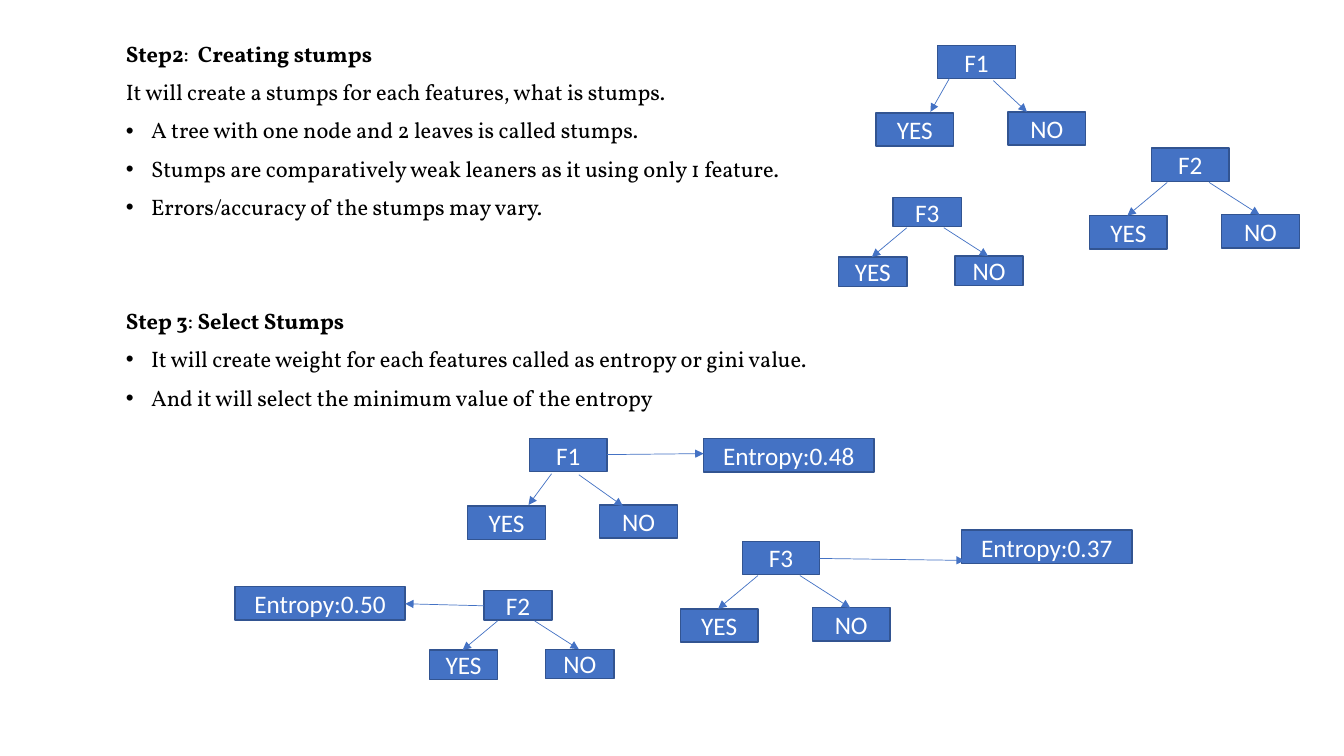
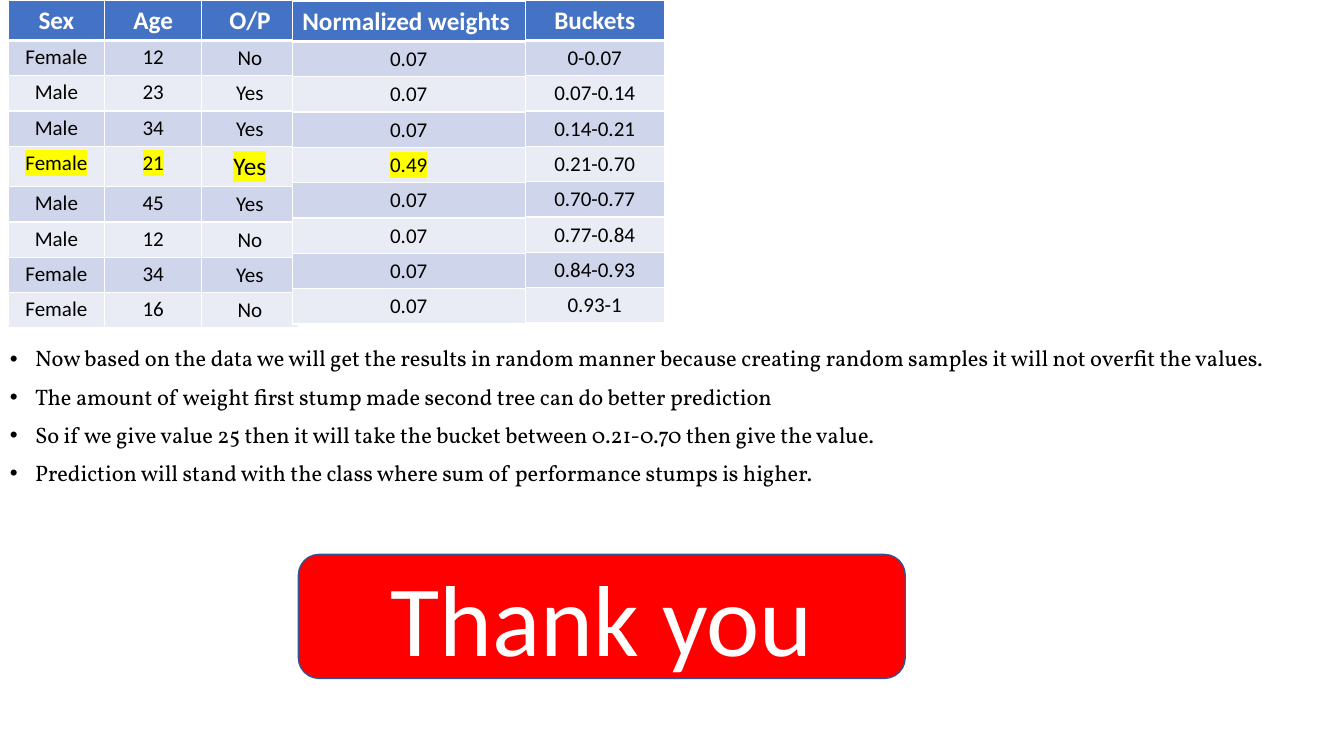
from dataclasses import dataclass

from pptx import Presentation
from pptx.dml.color import RGBColor
from pptx.enum.shapes import MSO_CONNECTOR, MSO_SHAPE
from pptx.enum.text import MSO_ANCHOR, PP_ALIGN
from pptx.oxml import parse_xml
from pptx.oxml.ns import nsdecls, qn
from pptx.util import Inches, Pt


@dataclass(frozen=True)
class Theme:
    accent: str = "4472C4"
    outline: str = "325491"
    odd_band: str = "CFD5EA"
    even_band: str = "E9EBF5"
    highlight: str = "FFFF00"
    closing: str = "FF0000"
    dark: str = "000000"
    light: str = "FFFFFF"
    body_font: str = "Vollkorn"
    label_font: str = "Calibri"
    body_size: int = 16
    label_size: int = 18
    cell_size: int = 15
    closing_size: int = 72


@dataclass(frozen=True)
class Box:
    left: float
    top: float
    width: float
    height: float

    def point(self, x, y):
        return self.left + x * self.width, self.top + y * self.height

    def inner(self, x, y, width, height):
        return Box(*self.point(x, y), width * self.width, height * self.height)

    def lengths(self):
        return [grid(value) for value in (self.left, self.top, self.width, self.height)]


THEME = Theme()
COLUMNS, ROWS = 40, 22.5
SLIDE_WIDTH = 13.33
INDENT = 0.25
HEADER_ROW, BODY_ROW = 1.2, 1.05
NODE_WIDTH, NODE_HEIGHT = 0.37, 0.33
LARGE, SMALL = (6.24, 3), (5.49, 2.64)
ENTROPY = (5.07, 1)
WIDE_BRANCHES = ((0.37, 0.34, 0.18, 0.67), (0.57, 0.34, 0.81, 0.66))
STEEP_BRANCHES = ((0.35, 0.33, 0.26, 0.66), (0.56, 0.35, 0.72, 0.66))
NARROW_BRANCHES = ((0.4, 0.35, 0.29, 0.66), (0.53, 0.36, 0.74, 0.67))


def grid(value):
    return Inches(value * SLIDE_WIDTH / COLUMNS)


def rgb(color):
    return RGBColor.from_string(color)


def write(paragraph, text, *, size, font, color, bold=False, highlight=None):
    run = paragraph.add_run()
    run.text = text
    run.font.size = Pt(size)
    run.font.name = font
    run.font.bold = bold
    run.font.color.rgb = rgb(color)
    if highlight:
        mark = parse_xml(f'<a:highlight {nsdecls("a")}><a:srgbClr val="{highlight}"/></a:highlight>')
        run.font._element.find(qn("a:solidFill")).addnext(mark)


def add_bullet(paragraph):
    properties = paragraph._p.get_or_add_pPr()
    properties.set("marL", str(Inches(INDENT)))
    properties.set("indent", str(-Inches(INDENT)))
    properties.append(parse_xml(f'<a:buFont {nsdecls("a")} typeface="Arial"/>'))
    properties.append(parse_xml(f'<a:buChar {nsdecls("a")} char="•"/>'))


def add_body(slide, box, bullets, heading=(), intro=None):
    frame = slide.shapes.add_textbox(*box.lengths()).text_frame
    frame.word_wrap = True
    lines = [(heading, False)] if heading else []
    lines += [([(intro, False)], False)] if intro else []
    lines += [([(bullet, False)], True) for bullet in bullets]
    for index, (runs, bulleted) in enumerate(lines):
        paragraph = frame.add_paragraph() if index else frame.paragraphs[0]
        paragraph.line_spacing = 0.9
        paragraph.space_before = Pt(10)
        for text, bold in runs:
            write(paragraph, text, size=THEME.body_size, font=THEME.body_font,
                  color=THEME.dark, bold=bold)
        if bulleted:
            add_bullet(paragraph)


def add_label(shapes, box, text, kind=MSO_SHAPE.RECTANGLE, fill=THEME.accent, size=THEME.label_size):
    shape = shapes.add_shape(kind, *box.lengths())
    shape.shadow.inherit = False
    shape.fill.solid()
    shape.fill.fore_color.rgb = rgb(fill)
    shape.line.color.rgb = rgb(THEME.outline)
    shape.line.width = Pt(1)
    shape.text_frame.word_wrap = True
    shape.text_frame.vertical_anchor = MSO_ANCHOR.MIDDLE
    paragraph = shape.text_frame.paragraphs[0]
    paragraph.alignment = PP_ALIGN.CENTER
    write(paragraph, text, size=size, font=THEME.label_font, color=THEME.light)


def add_arrow(shapes, start, end):
    ends = [grid(value) for value in (*start, *end)]
    arrow = shapes.add_connector(MSO_CONNECTOR.STRAIGHT, *ends)
    arrow.line.color.rgb = rgb(THEME.accent)
    arrow.line.width = Pt(0.5)
    arrow.line._get_or_add_ln().append(parse_xml(f'<a:tailEnd {nsdecls("a")} type="triangle"/>'))
    arrow._element.spPr.append(parse_xml(f'<a:effectLst {nsdecls("a")}/>'))


def add_stump(slide, box, feature, branches=WIDE_BRANCHES):
    shapes = slide.shapes.add_group_shape().shapes
    nodes = ((feature, 0.295, 0), ("YES", 0, 0.67), ("NO", 0.63, 0.66))
    for text, x, y in nodes:
        add_label(shapes, box.inner(x, y, NODE_WIDTH, NODE_HEIGHT), text)
    for start_x, start_y, end_x, end_y in branches:
        add_arrow(shapes, box.point(start_x, start_y), box.point(end_x, end_y))


def set_borders(cell, top, bottom):
    properties = cell._tc.get_or_add_tcPr()
    sides = (("lnL", 1), ("lnR", 1), ("lnT", top), ("lnB", bottom))
    for position, (side, width) in enumerate(sides):
        properties.insert(position, parse_xml(
            f'<a:{side} {nsdecls("a")} w="{Pt(width)}"><a:solidFill>'
            f'<a:srgbClr val="{THEME.light}"/></a:solidFill></a:{side}>'))


def fill_cell(cell, text, row, *, marked=False, enlarged=False, align=PP_ALIGN.CENTER, tight=False):
    header = row == 0
    band = THEME.odd_band if row % 2 else THEME.even_band
    cell.fill.solid()
    cell.fill.fore_color.rgb = rgb(THEME.accent if header else band)
    set_borders(cell, top=3 if row == 1 else 1, bottom=3 if header else 1)
    if tight and not header:
        cell.margin_left = cell.margin_right = Inches(0.08)
        cell.margin_top = cell.margin_bottom = Inches(0.04)
    paragraph = cell.text_frame.paragraphs[0]
    paragraph.alignment = align
    write(paragraph, text, font=THEME.label_font, bold=header,
          size=THEME.label_size if header or enlarged else THEME.cell_size,
          color=THEME.light if header else THEME.dark,
          highlight=THEME.highlight if marked else None)


def add_data_table(slide, left, top, column_width, columns, marked_row=None,
                   header_align=PP_ALIGN.CENTER, tight_columns=0, enlarged=None):
    row_count = len(columns[0])
    box = Box(left, top, column_width * len(columns), HEADER_ROW + BODY_ROW * (row_count - 1))
    table = slide.shapes.add_table(row_count, len(columns), *box.lengths()).table
    for row in range(row_count):
        table.rows[row].height = grid(BODY_ROW if row else HEADER_ROW)
    for index, values in enumerate(columns):
        table.columns[index].width = grid(column_width)
        for row, text in enumerate(values):
            fill_cell(table.cell(row, index), text, row, marked=row == marked_row,
                      enlarged=(row, index) == enlarged, tight=index < tight_columns,
                      align=PP_ALIGN.CENTER if row else header_align)


def build_stumps_slide(slide):
    add_body(slide, Box(3.45, 1.14, 34.5, 6),
             ["A tree with one node and 2 leaves is called stumps.",
              "Stumps are comparatively weak leaners as it using only 1 feature.",
              "Errors/accuracy of the stumps may vary."],
             heading=[("Step2", True), (":  ", False), ("Creating stumps", True)],
             intro="It will create a stumps for each features, what is stumps.")
    add_body(slide, Box(3.45, 9.09, 34.5, 3.6),
             ["It will create weight for each features called as entropy or gini value.",
              "And it will select the minimum value of the entropy"],
             heading=[("Step 3", True), (": ", False), ("Select Stumps", True)])
    stumps = (
        ("F3", 24.96, 5.88, SMALL, WIDE_BRANCHES),
        ("F1", 26.07, 1.35, LARGE, STEEP_BRANCHES),
        ("F2", 32.43, 4.41, LARGE, WIDE_BRANCHES),
        ("F2", 12.78, 17.58, SMALL, WIDE_BRANCHES),
        ("F1", 13.92, 13.05, LARGE, NARROW_BRANCHES),
        ("F3", 20.25, 16.11, LARGE, WIDE_BRANCHES),
    )
    for feature, left, top, size, branches in stumps:
        add_stump(slide, Box(left, top, *size), feature, branches)
    entropies = (
        ("0.48", 20.94, 13.05, (18.06, 13.53), (20.94, 13.5)),
        ("0.37", 28.62, 15.78, (24.39, 16.62), (28.71, 16.68)),
        ("0.50", 6.99, 17.46, (14.4, 18.03), (12.06, 17.97)),
    )
    for value, left, top, start, end in entropies:
        add_label(slide.shapes, Box(left, top, *ENTROPY), f"Entropy:{value}")
        add_arrow(slide.shapes, start, end)


def build_buckets_slide(slide):
    add_body(slide, Box(0, 10.2, COLUMNS, 5),
             ["Now based on the data we will get the results in random manner because "
              "creating random samples it will not overfit the values.",
              "The amount of weight first stump made second tree can do better prediction",
              "So if we give value 25 then it will take the bucket between 0.21-0.70 then give the value.",
              "Prediction will stand with the class where sum of performance stumps is higher."])
    people = [
        ["Sex", "Female", "Male", "Male", "Female", "Male", "Male", "Female", "Female"],
        ["Age", "12", "23", "34", "21", "45", "12", "34", "16"],
        ["O/P", "No", "Yes", "Yes", "Yes", "Yes", "No", "Yes", "No"],
    ]
    buckets = ["Buckets", "0-0.07", "0.07-0.14", "0.14-0.21", "0.21-0.70",
               "0.70-0.77", "0.77-0.84", "0.84-0.93", "0.93-1"]
    weights = ["Normalized weights", *["0.07"] * 3, "0.49", *["0.07"] * 4]
    add_data_table(slide, 0.24, 0, 2.88, people, marked_row=4, tight_columns=2, enlarged=(4, 2))
    add_data_table(slide, 15.63, 0, 4.14, [buckets])
    add_data_table(slide, 8.7, 0.03, 6.93, [weights], marked_row=4, header_align=PP_ALIGN.LEFT)
    add_label(slide.shapes, Box(8.88, 16.5, 18.06, 3.69), "Thank you",
              kind=MSO_SHAPE.ROUNDED_RECTANGLE, fill=THEME.closing, size=THEME.closing_size)


def main():
    presentation = Presentation()
    presentation.slide_width = grid(COLUMNS)
    presentation.slide_height = grid(ROWS)
    blank = presentation.slide_layouts[6]
    for build in (build_stumps_slide, build_buckets_slide):
        build(presentation.slides.add_slide(blank))
    presentation.save("out.pptx")


if __name__ == "__main__":
    main()
